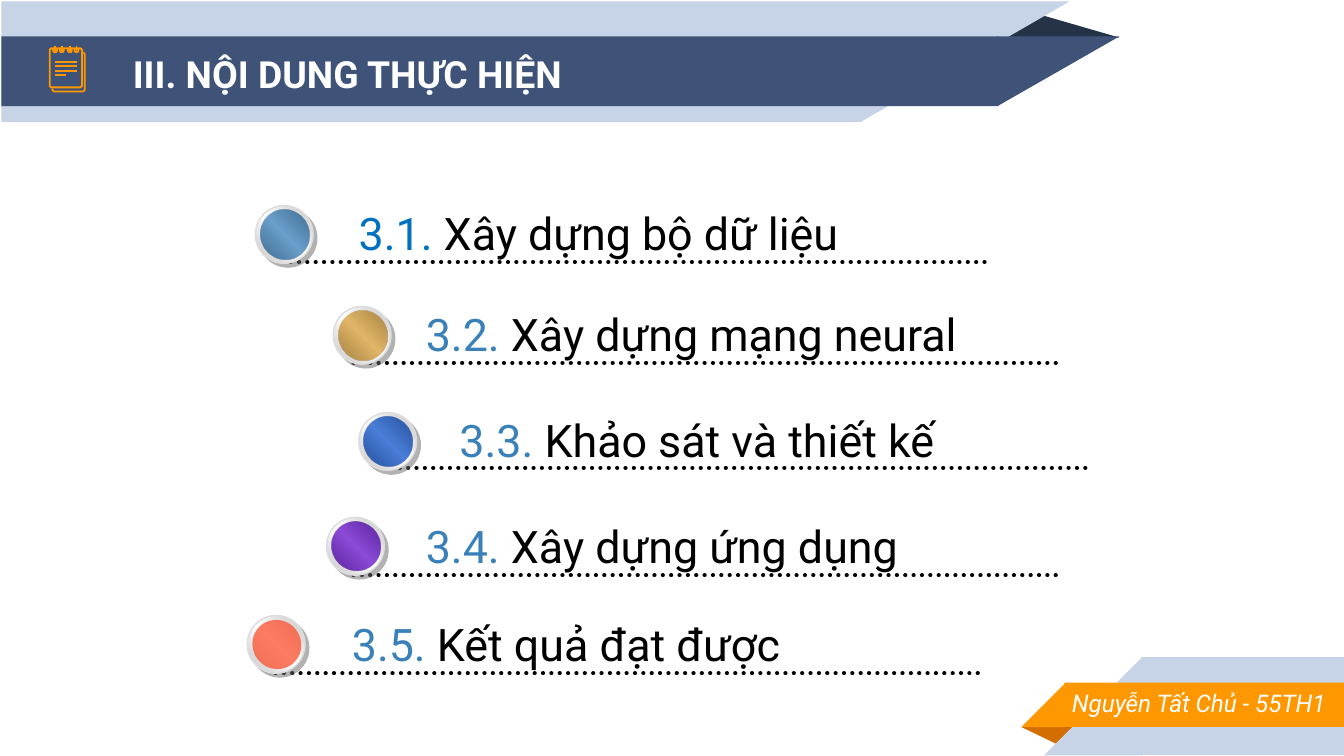
import math
from lxml import etree
from pptx import Presentation
from pptx.dml.color import RGBColor
from pptx.enum.dml import MSO_LINE
from pptx.enum.shapes import MSO_CONNECTOR, MSO_SHAPE
from pptx.enum.text import MSO_ANCHOR, MSO_AUTO_SIZE, PP_ALIGN
from pptx.oxml import parse_xml
from pptx.oxml.ns import nsdecls, qn
from pptx.util import Inches, Pt

RECTANGLE = MSO_SHAPE.RECTANGLE
TRIANGLE = MSO_SHAPE.ISOSCELES_TRIANGLE
RIGHT_TRIANGLE = MSO_SHAPE.RIGHT_TRIANGLE
OVAL = MSO_SHAPE.OVAL
STRAIGHT = MSO_CONNECTOR.STRAIGHT
DOTTED = MSO_LINE.ROUND_DOT
MIDDLE = MSO_ANCHOR.MIDDLE
TOP = MSO_ANCHOR.TOP
LEFT = PP_ALIGN.LEFT
RIGHT = PP_ALIGN.RIGHT
GROW = MSO_AUTO_SIZE.SHAPE_TO_FIT_TEXT

PALE, NAVY, DARK_NAVY = "C7D3E6", "3F5378", "263248"
ORANGE, DARK_ORANGE = "FF9800", "D26F00"
WHITE, BLACK, STEEL = "FFFFFF", "000000", "3A81BA"
ICON_LINE = 0.96
OVERLAP = 0.01


def color(hex_value):
    return RGBColor.from_string(hex_value)


class SlideBuilder:
    font_name = "Roboto"

    def __init__(self, slide):
        self.slide = slide

    def style(self, shape, fill=None, line=None, line_width=0.75):
        shape.shadow.inherit = False
        if fill:
            shape.fill.solid()
            shape.fill.fore_color.rgb = color(fill)
        else:
            shape.fill.background()
        if line:
            shape.line.color.rgb = color(line)
            shape.line.width = Pt(line_width)
        else:
            shape.line.fill.background()
        return shape

    def shape(self, kind, box, fill=None, line=None, line_width=0.75, rotation=0, mirror=False):
        shape = self.slide.shapes.add_shape(kind, *map(Inches, box))
        shape.rotation = rotation
        if mirror:
            shape.element.spPr.get_or_add_xfrm().set("flipH", "1")
        return self.style(shape, fill, line, line_width)

    def outline(self, points, line, line_width, closed):
        corners = [(Inches(x), Inches(y)) for x, y in points]
        builder = self.slide.shapes.build_freeform(*corners[0])
        builder.add_line_segments(corners[1:], close=closed)
        return self.style(builder.convert_to_shape(), None, line, line_width)

    def line(self, start, end, line, line_width, dash=None):
        connector = self.slide.shapes.add_connector(STRAIGHT, *map(Inches, start + end))
        connector.line.color.rgb = color(line)
        connector.line.width = Pt(line_width)
        if dash:
            connector.line.dash_style = dash
            connector.element.spPr.find(qn("a:ln")).set("cap", "rnd")
        etree.SubElement(connector.element.spPr, qn("a:effectLst"))

    def text(self, box, parts, size, bold=False, italic=False, align=LEFT, anchor=TOP, grow=False):
        text_box = self.slide.shapes.add_textbox(*map(Inches, box))
        frame = text_box.text_frame
        frame.word_wrap = True
        frame.vertical_anchor = anchor
        if grow:
            frame.auto_size = GROW
        paragraph = frame.paragraphs[0]
        paragraph.alignment = align
        for content, hex_value in parts:
            run = paragraph.add_run()
            run.text = content
            run.font.name = self.font_name
            run.font.size = Pt(size)
            run.font.bold = bold
            run.font.italic = italic
            run.font.color.rgb = color(hex_value)

    def gradient(self, shape, edge, middle, edge_alpha=100, middle_alpha=100):
        stops = [(0, edge, edge_alpha), (50, middle, middle_alpha), (100, edge, edge_alpha)]
        stop_xml = "".join(
            f'<a:gs pos="{position * 1000}"><a:srgbClr val="{hex_value}">'
            f'<a:alpha val="{alpha * 1000}"/></a:srgbClr></a:gs>'
            for position, hex_value, alpha in stops
        )
        properties = shape.element.spPr
        properties.replace(properties.find(qn("a:solidFill")), parse_xml(
            f'<a:gradFill {nsdecls("a")} rotWithShape="0"><a:gsLst>{stop_xml}</a:gsLst>'
            f'<a:lin ang="{315 * 60000}" scaled="0"/></a:gradFill>'
        ))

    def ball(self, left, top, edge, middle):
        rim = self.shape(OVAL, (left, top, 0.43, 0.43), WHITE, "DDDDDD")
        self.gradient(rim, "C3C3C3", WHITE)
        rim.element.spPr.find(qn("a:effectLst")).append(parse_xml(
            f'<a:outerShdw {nsdecls("a")} blurRad="0" dist="{Pt(2.8)}" dir="{45 * 60000}" '
            'algn="ctr" rotWithShape="0"><a:srgbClr val="666666"><a:alpha val="50000"/>'
            '</a:srgbClr></a:outerShdw>'
        ))
        core = self.shape(OVAL, (left + 0.04, top + 0.03, 0.36, 0.37), middle, rotation=321.9)
        if edge:
            self.gradient(core, edge, middle, 90, 75)
        else:
            fill = core.element.spPr.find(qn("a:solidFill"))
            etree.SubElement(fill[0], qn("a:alpha")).set("val", "75000")

    def notepad(self):
        back = [(0.39, 0.66), (0.39, 0.67), (0.4, 0.68), (0.62, 0.68),
                (0.63, 0.67), (0.63, 0.4), (0.62, 0.39)]
        page = [(0.38, 0.36), (0.6, 0.36), (0.61, 0.37), (0.61, 0.64),
                (0.6, 0.65), (0.38, 0.65), (0.37, 0.64), (0.37, 0.37)]
        self.outline(back, ORANGE, ICON_LINE, False)
        self.outline(page, ORANGE, ICON_LINE, True)
        for y, right in ((0.46, 0.57), (0.49, 0.57), (0.53, 0.57), (0.56, 0.49)):
            self.line((0.41, y), (right, y), ORANGE, ICON_LINE)
        for x in (0.41, 0.46, 0.52, 0.57):
            ring = [(x + 0.015 * math.cos(math.radians(angle)),
                     0.375 + 0.015 * math.sin(math.radians(angle)))
                    for angle in range(0, 360, 30)]
            self.outline(ring, ORANGE, ICON_LINE, True)
            self.line((x, 0.34), (x, 0.38), ORANGE, ICON_LINE)


def main():
    presentation = Presentation()
    presentation.slide_width = Inches(10)
    presentation.slide_height = Inches(10) * 9 // 16
    builder = SlideBuilder(presentation.slides.add_slide(presentation.slide_layouts[6]))

    fold = builder.shape(TRIANGLE, (7.41, 0.1, 0.92, 0.18), DARK_NAVY)
    fold.adjustments[0] = 0.324
    for top, split, right, height, fill in ((0.01, 6.4, 7.96, 0.9, PALE),
                                            (0.27, 7.42, 8.33, 0.52, NAVY)):
        builder.shape(RECTANGLE, (0.01, top, split - 0.01 + OVERLAP, height), fill)
        builder.shape(RIGHT_TRIANGLE, (split, top, right - split, height), fill,
                      rotation=180, mirror=True)

    fold = builder.shape(TRIANGLE, (7.6, 5.41, 0.43, 0.14), DARK_ORANGE, rotation=180)
    fold.adjustments[0] = 0.324
    for top, split, size, fill in ((4.89, 8.5, 0.73, PALE), (5.08, 7.93, 0.33, ORANGE)):
        builder.shape(RECTANGLE, (split - OVERLAP, top, 10 - split + OVERLAP, size), fill)
        builder.shape(RIGHT_TRIANGLE, (split - size, top, size, size), fill, mirror=True)

    builder.text((0.89, 0.13, 6.01, 0.84), [("III. NỘI DUNG THỰC HIỆN", WHITE)], 20,
                 bold=True, anchor=MIDDLE)

    items = [
        ("3.1. ", "Xây dựng bộ dữ liệu", "0070C0", (2.57, 1.48, 3.89, 0.5),
         (2.1, 1.95), (1.9, 1.53, "255276", STEEL)),
        ("3.2. ", "Xây dựng mạng neural", STEEL, (3.07, 2.23, 4.98, 0.5),
         (2.63, 2.7), (2.48, 2.28, "896524", "D89F39")),
        ("3.3. ", "Khảo sát và thiết kế", STEEL, (3.32, 3.02, 3.89, 0.5),
         (2.85, 3.48), (2.67, 3.07, "0B3681", "1155CC")),
        ("3.4. ", "Xây dựng ứng dụng", STEEL, (3.07, 3.81, 3.89, 0.5),
         (2.63, 4.28), (2.43, 3.85, "410B81", "6611CC")),
        ("3.5. ", "Kết quả đạt được", STEEL, (2.52, 4.54, 5.2, 0.5),
         (2.05, 5.01), (1.84, 4.58, None, "FB4F2D")),
    ]
    for number, label, number_color, text_area, (line_left, line_top), ball in items:
        builder.line((line_left, line_top), (line_left + 5.25, line_top), BLACK, 2.25, DOTTED)
        builder.text(text_area, [(number, number_color), (label, BLACK)], 24, grow=True)
        builder.ball(*ball)

    builder.notepad()
    builder.text((7.78, 5.07, 2.18, 0.35), [("Nguyễn Tất Chủ - 55TH1", WHITE)], 13,
                 italic=True, align=RIGHT)
    presentation.save("out.pptx")


if __name__ == "__main__":
    main()
